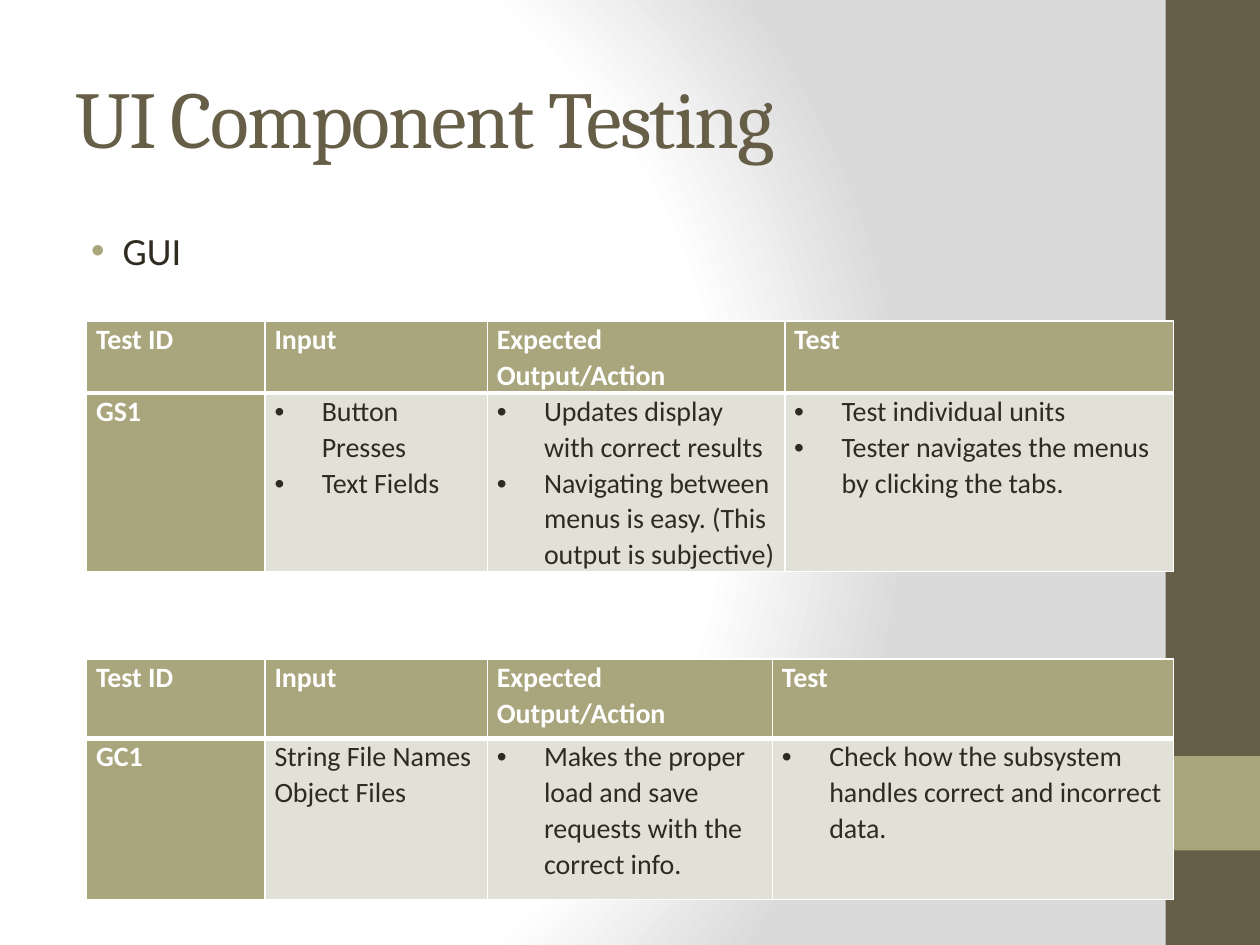
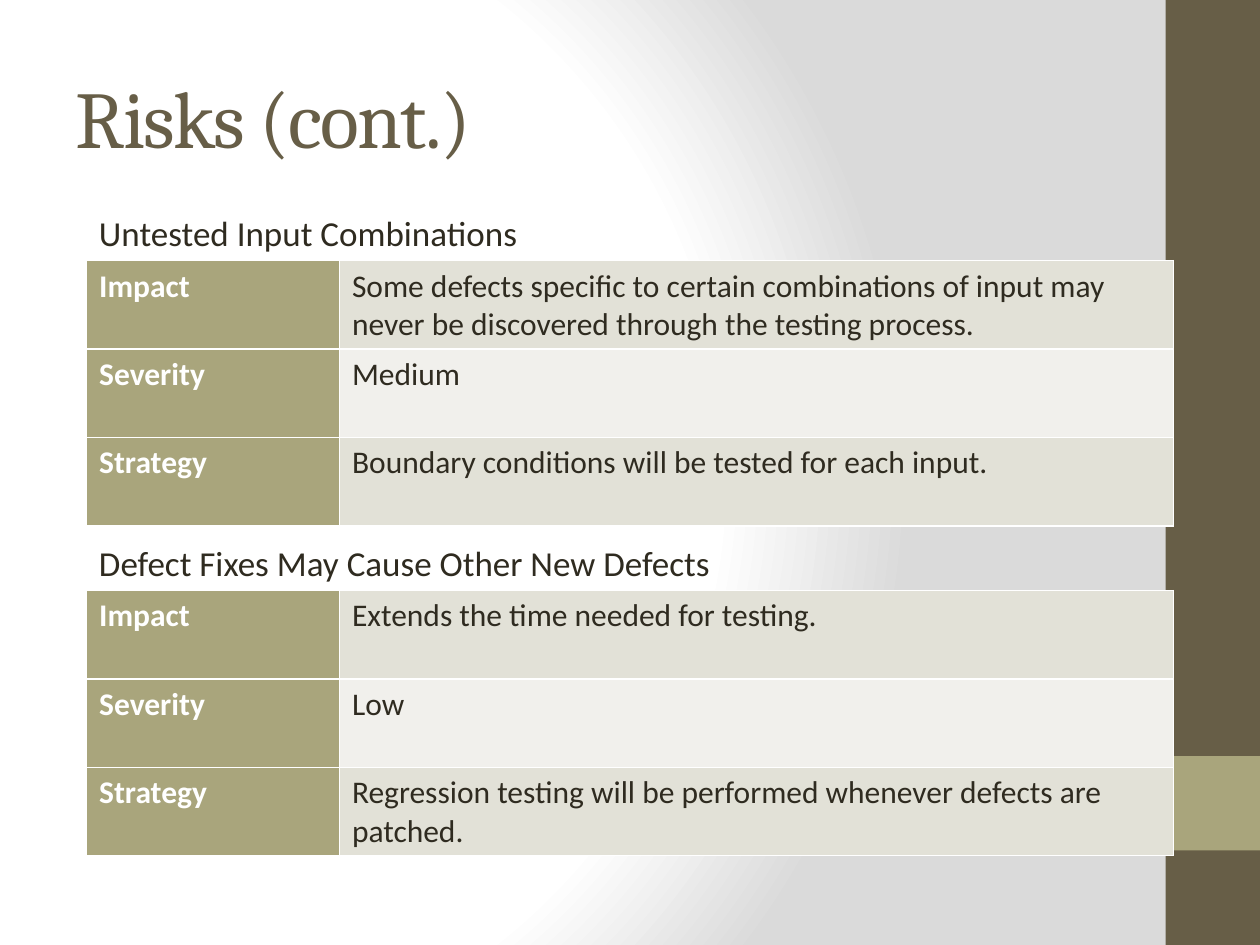
"""Build two slides of test-plan tables that share a banded theme."""
from dataclasses import dataclass
from typing import Any, NamedTuple, Optional

import lxml.etree
import pptx
import pptx.dml.color
import pptx.enum.shapes
import pptx.enum.text
import pptx.oxml
import pptx.oxml.ns
import pptx.util

Pt = pptx.util.Pt
qn = pptx.oxml.ns.qn
ALIGN = pptx.enum.text.PP_ALIGN


@dataclass(frozen=True)
class Theme:
    heading_font: str = "Cambria"
    body_font: str = "Calibri"
    white: str = "FFFFFF"
    backdrop: str = "DADADA"
    brown: str = "675E47"
    olive: str = "A9A57C"
    ink: str = "2F2B20"
    band_dark: str = "E2E1D7"
    band_light: str = "F1F0EC"
    title_size: float = 46
    bullet_size: float = 22
    caption_size: float = 20
    risk_size: float = 18
    test_size: float = 16


T = Theme()


class Box(NamedTuple):
    left: float
    top: float
    width: float
    height: float

    def emu(self) -> list[int]:
        return [Pt(v) for v in self]


class Band(NamedTuple):
    box: Box
    color: str


class Bullet(NamedTuple):
    margin: float
    hang: float
    color: str


class TestTable(NamedTuple):
    top: float
    columns: tuple[float, ...]
    rows: tuple[float, ...]
    test_id: str
    cells: tuple[tuple[str, ...], ...]
    plain_columns: tuple[int, ...] = ()


class Risk(NamedTuple):
    top: float
    caption: str
    impact: str
    severity: str
    strategy: str


BANDS = (
    Band(Box(666, 0, 54, 540), T.brown),
    Band(Box(666, 432, 54, 54), T.olive),
)
TITLE_BOX = Box(36, 21.5, 600, 90)
TABLE_LEFT, TABLE_WIDTH = 49.5, 621
RISK_COLUMNS = (144.5, 476.5)
RISK_ROW = 50.5
CAPTION_HEIGHT = 31.5
TEST_HEADINGS = ("Test ID", "Input", "Expected Output/Action", "Test")
CELL_BULLET = Bullet(27, 27, T.ink)

TEST_TABLES = (
    TestTable(183.5, (102, 127, 170, 222), (41, 102), "GS1", (
        ("Button Presses", "Text Fields"),
        ("Updates display with correct results",
         "Navigating between menus is easy. (This output is subjective)"),
        ("Test individual units",
         "Tester navigates the menus by clicking the tabs."))),
    TestTable(376.5, (102, 127, 163, 229), (45.5, 92), "GC1", (
        ("String File Names", "Object Files"),
        ("Makes the proper load and save requests with the correct info.",),
        ("Check how the subsystem handles correct and incorrect data.",)),
        plain_columns=(1,)),
)
RISKS = (
    Risk(117.5, "Untested Input Combinations",
         "Some defects specific to certain combinations of input may never be "
         "discovered through the testing process.",
         "Medium", "Boundary conditions will be tested for each input."),
    Risk(306, "Defect Fixes May Cause Other New Defects",
         "Extends the time needed for testing.", "Low",
         "Regression testing will be performed whenever defects are patched."),
)


def rgb(color: str) -> pptx.dml.color.RGBColor:
    return pptx.dml.color.RGBColor.from_string(color)


def write(p: Any, text: str, *, size: float, color: str = T.ink,
          font: str = T.body_font, bold: bool = False,
          align: Any = ALIGN.LEFT, line: Optional[float] = None,
          spacing: int = 0, bullet: Optional[Bullet] = None) -> None:
    if bullet:
        pPr = p._p.get_or_add_pPr()
        pPr.set("marL", str(Pt(bullet.margin)))
        pPr.set("indent", str(-Pt(bullet.hang)))
        clr = lxml.etree.SubElement(pPr, qn("a:buClr"))
        lxml.etree.SubElement(clr, qn("a:srgbClr"), val=bullet.color)
        lxml.etree.SubElement(pPr, qn("a:buFont"), typeface="Arial")
        lxml.etree.SubElement(pPr, qn("a:buChar"), char="•")
    p.alignment = align
    if line:
        p.line_spacing = line
    r = p.add_run()
    r.text = text
    r.font.name, r.font.size, r.font.bold = font, Pt(size), bold
    r.font.color.rgb = rgb(color)
    if spacing:
        r._r.get_or_add_rPr().set("spc", str(spacing))


def set_background(prs: Any) -> None:
    master = prs.slide_master
    master.background.fill.solid()
    solid = master.element.find(".//" + qn("p:bgPr")).find(qn("a:solidFill"))
    stops = "".join(
        f'<a:gs pos="{pos * 1000}"><a:srgbClr val="{color}"/></a:gs>'
        for pos, color in ((0, T.white), (75, T.white), (100, T.backdrop)))
    grad = pptx.oxml.parse_xml(
        f'<a:gradFill {pptx.oxml.ns.nsdecls("a")} rotWithShape="1">'
        f'<a:gsLst>{stops}</a:gsLst><a:path path="circle">'
        '<a:fillToRect l="20000" t="50000" r="100000" b="50000"/>'
        '</a:path></a:gradFill>')
    solid.getparent().replace(solid, grad)


def add_slide(prs: Any, title: str) -> Any:
    s = prs.slides.add_slide(prs.slide_layouts[5])
    for band in BANDS:
        sp = s.shapes.add_shape(pptx.enum.shapes.MSO_SHAPE.RECTANGLE,
                                *band.box.emu())
        sp.shadow.inherit = False
        sp.fill.solid()
        sp.fill.fore_color.rgb = rgb(band.color)
        sp.line.fill.background()
    sp = s.shapes.title
    sp.left, sp.top, sp.width, sp.height = TITLE_BOX.emu()
    tf = sp.text_frame
    tf.vertical_anchor = pptx.enum.text.MSO_ANCHOR.MIDDLE
    tf.auto_size = pptx.enum.text.MSO_AUTO_SIZE.NONE
    write(tf.paragraphs[0], title, size=T.title_size, color=T.brown,
          font=T.heading_font, spacing=-100)
    return s


def add_text_box(s: Any, box: Box, text: str, **style: Any) -> None:
    tf = s.shapes.add_textbox(*box.emu()).text_frame
    tf.word_wrap = True
    write(tf.paragraphs[0], text, **style)


def add_grid(s: Any, top: float, columns: tuple[float, ...],
             rows: tuple[float, ...]) -> Any:
    box = Box(TABLE_LEFT, top, TABLE_WIDTH, sum(rows))
    table = s.shapes.add_table(len(rows), len(columns), *box.emu()).table
    table.first_row = table.horz_banding = False
    for column, width in zip(table.columns, columns):
        column.width = Pt(width)
    for row, height in zip(table.rows, rows):
        row.height = Pt(height)
    return table


def fill_cell(cell: Any, texts: tuple[str, ...], fill: str, *,
              top: float = 1, bottom: float = 1, tight: bool = False,
              **style: Any) -> None:
    tcPr = cell._tc.get_or_add_tcPr()
    for side, width in (("L", 1), ("R", 1), ("T", top), ("B", bottom)):
        ln = lxml.etree.SubElement(tcPr, qn(f"a:ln{side}"), w=str(Pt(width)))
        solid = lxml.etree.SubElement(ln, qn("a:solidFill"))
        lxml.etree.SubElement(solid, qn("a:srgbClr"), val=T.white)
    cell.fill.solid()
    cell.fill.fore_color.rgb = rgb(fill)
    if tight:
        cell.margin_left = cell.margin_right = Pt(5.4)
        cell.margin_top = cell.margin_bottom = 0
    tf = cell.text_frame
    for i, text in enumerate(texts):
        p = tf.add_paragraph() if i else tf.paragraphs[0]
        write(p, text, **style)


def add_test_table(s: Any, test: TestTable) -> None:
    table = add_grid(s, test.top, test.columns, test.rows)
    body = dict(size=T.test_size, line=1.05, tight=True)
    label = dict(body, color=T.white, bold=True, align=ALIGN.JUSTIFY)
    for c, heading in enumerate(TEST_HEADINGS):
        fill_cell(table.cell(0, c), (heading,), T.olive, bottom=3, **label)
    fill_cell(table.cell(1, 0), (test.test_id,), T.olive, top=3, **label)
    for c, texts in enumerate(test.cells, 1):
        bullet = None if c in test.plain_columns else CELL_BULLET
        fill_cell(table.cell(1, c), texts, T.band_dark, top=3,
                  bullet=bullet, **body)


def add_risk(s: Any, risk: Risk) -> None:
    box = Box(TABLE_LEFT, risk.top, TABLE_WIDTH, CAPTION_HEIGHT)
    add_text_box(s, box, risk.caption, size=T.caption_size)
    entries = (("Impact", risk.impact), ("Severity", risk.severity),
               ("Strategy", risk.strategy))
    table = add_grid(s, risk.top + CAPTION_HEIGHT, RISK_COLUMNS,
                     (RISK_ROW,) * len(entries))
    for r, (label, text) in enumerate(entries):
        fill_cell(table.cell(r, 0), (label,), T.olive, size=T.risk_size,
                  color=T.white, bold=True)
        fill_cell(table.cell(r, 1), (text,),
                  T.band_light if r % 2 else T.band_dark, size=T.risk_size)


def main() -> None:
    prs = pptx.Presentation()
    prs.slide_width, prs.slide_height = Pt(720), Pt(540)
    set_background(prs)

    s = add_slide(prs, "UI Component Testing")
    add_text_box(s, Box(36, 126, 600, 36), "GUI", size=T.bullet_size,
                 bullet=Bullet(27, 18, T.olive))
    for test in TEST_TABLES:
        add_test_table(s, test)

    s = add_slide(prs, "Risks (cont.)")
    for risk in RISKS:
        add_risk(s, risk)

    prs.save("out.pptx")


if __name__ == "__main__":
    main()
